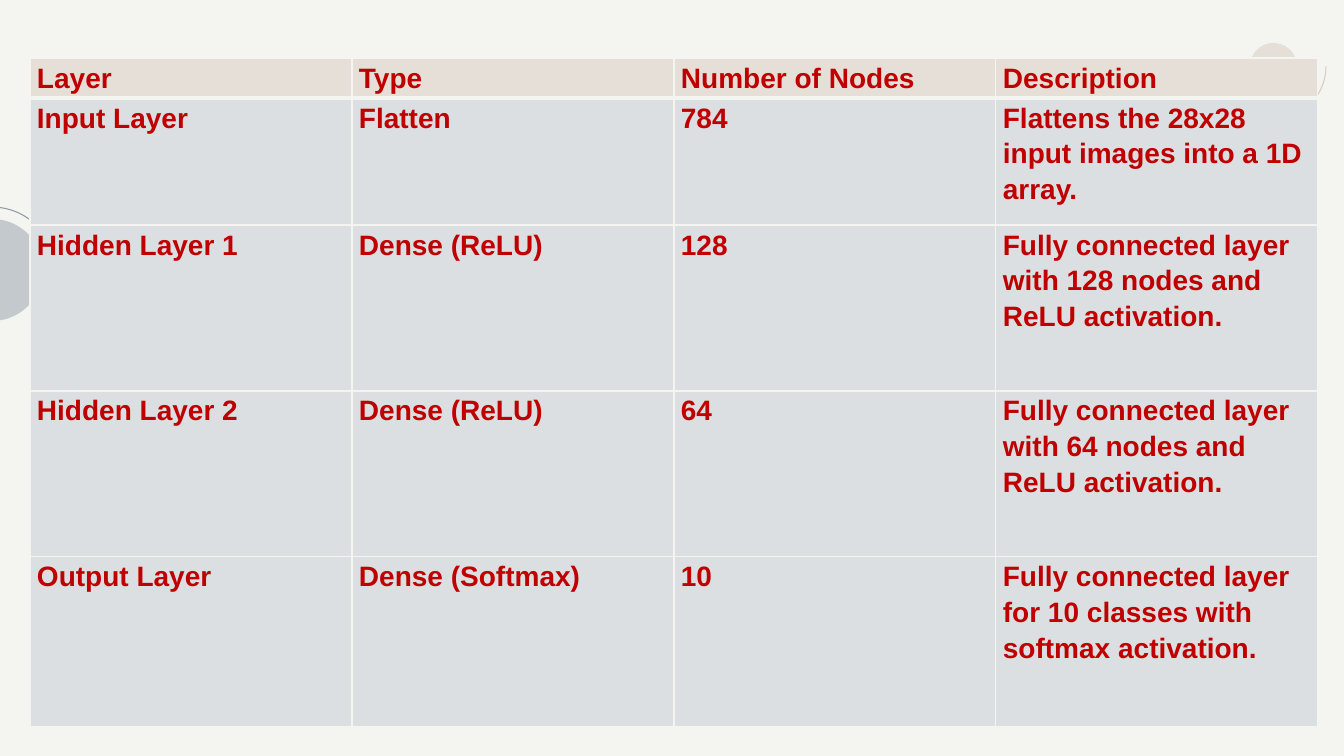
import lxml.etree
import pptx
import pptx.dml.color
import pptx.enum.shapes
import pptx.oxml.ns
import pptx.util

WIDTH, HEIGHT = 1344, 756
SCALE = 12192000 / WIDTH
PAPER, SAND, MIST, RED = "F4F5F0", "E6DFD7", "DCDFE1", "C00000"

LAYERS = [
    ("Layer", "Type", "Number of Nodes", "Description"),
    ("Input Layer", "Flatten", "784",
     "Flattens the 28x28 input images into a 1D array."),
    ("Hidden Layer 1", "Dense (ReLU)", "128",
     "Fully connected layer with 128 nodes and ReLU activation."),
    ("Hidden Layer 2", "Dense (ReLU)", "64",
     "Fully connected layer with 64 nodes and ReLU activation."),
    ("Output Layer", "Dense (Softmax)", "10",
     "Fully connected layer for 10 classes with softmax activation."),
]
ROW_HEIGHTS = [40, 127, 166, 166, 170]


def px(length):
    """Turn pixels into EMU."""
    return pptx.util.Emu(round(length * SCALE))


def color(value):
    """Turn a hex string into a colour."""
    return pptx.dml.color.RGBColor.from_string(value)


def apply(target, formats):
    """Set every attribute in the dict of format values."""
    for name, value in formats.items():
        setattr(target, name, value)


def paint(fill, value):
    """Fill with one solid colour."""
    fill.solid()
    fill.fore_color.rgb = color(value)


def add_ornament(slide, box, inset, disc_color, ring_color, rotation):
    """Place a disc centred in the box and a half ring around it."""
    left, top, size = box
    kinds = pptx.enum.shapes.MSO_SHAPE
    disc_size = size - 2 * inset
    disc = slide.shapes.add_shape(kinds.OVAL, px(left + inset), px(top + inset),
                                  px(disc_size), px(disc_size))
    disc.shadow.inherit = False
    paint(disc.fill, disc_color)
    disc.line.fill.background()
    ring = slide.shapes.add_shape(kinds.ARC, px(left), px(top), px(size), px(size))
    ring.shadow.inherit = False
    ring.adjustments[0] = 162
    ring.adjustments[1] = 53.388
    ring.rotation = rotation
    ring.fill.background()
    ring.line.color.rgb = color(ring_color)
    ring.line.width = pptx.util.Pt(0.75)


def add_borders(cell, widths):
    """Draw the four cell edges, with widths in points by side."""
    properties = cell._tc.get_or_add_tcPr()
    for position, (side, width) in enumerate(widths.items()):
        edge = lxml.etree.Element(pptx.oxml.ns.qn(f"a:ln{side}"),
                                  w=str(pptx.util.Pt(width)))
        solid = lxml.etree.SubElement(edge, pptx.oxml.ns.qn("a:solidFill"))
        lxml.etree.SubElement(solid, pptx.oxml.ns.qn("a:srgbClr"), val=PAPER)
        properties.insert(position, edge)


def fill_cell(cell, words, row):
    """Write one cell with the look of its row."""
    apply(cell, {"text": words, "margin_left": px(7), "margin_right": px(7),
                 "margin_top": 0, "margin_bottom": 0})
    paint(cell.fill, SAND if row == 0 else MIST)
    add_borders(cell, {"L": 1, "R": 1, "T": 3 if row == 1 else 1,
                       "B": 3 if row == 0 else 1})
    paragraph = cell.text_frame.paragraphs[0]
    apply(paragraph, {"line_spacing": 1.15, "space_after": pptx.util.Pt(10)})
    font = paragraph.runs[0].font
    apply(font, {"name": "Arial", "size": pptx.util.Pt(20), "bold": True})
    font.color.rgb = color(RED)


def add_layer_table(slide, left, top, width):
    """Place the table of network layers in equal columns."""
    columns = len(LAYERS[0])
    table = slide.shapes.add_table(len(LAYERS), columns, px(left), px(top),
                                   px(width), px(sum(ROW_HEIGHTS))).table
    table.horz_banding = False
    for column in table.columns:
        column.width = px(width / columns)
    for row, (height, layer) in enumerate(zip(ROW_HEIGHTS, LAYERS)):
        table.rows[row].height = px(height)
        for column, words in enumerate(layer):
            fill_cell(table.cell(row, column), words, row)


def main():
    """Build the slide and save it."""
    deck = pptx.Presentation()
    apply(deck, {"slide_width": px(WIDTH), "slide_height": px(HEIGHT)})
    slide = deck.slides.add_slide(deck.slide_layouts[6])
    paint(slide.background.fill, PAPER)
    add_ornament(slide, (-71, 207, 126), 12, "C4C9CD", "8D9BA4", 270)
    add_ornament(slide, (1221, 14, 105), 29, SAND, "D9CCC3", 90)
    add_layer_table(slide, 30, 58, 1288)
    deck.save("out.pptx")


if __name__ == "__main__":
    main()
